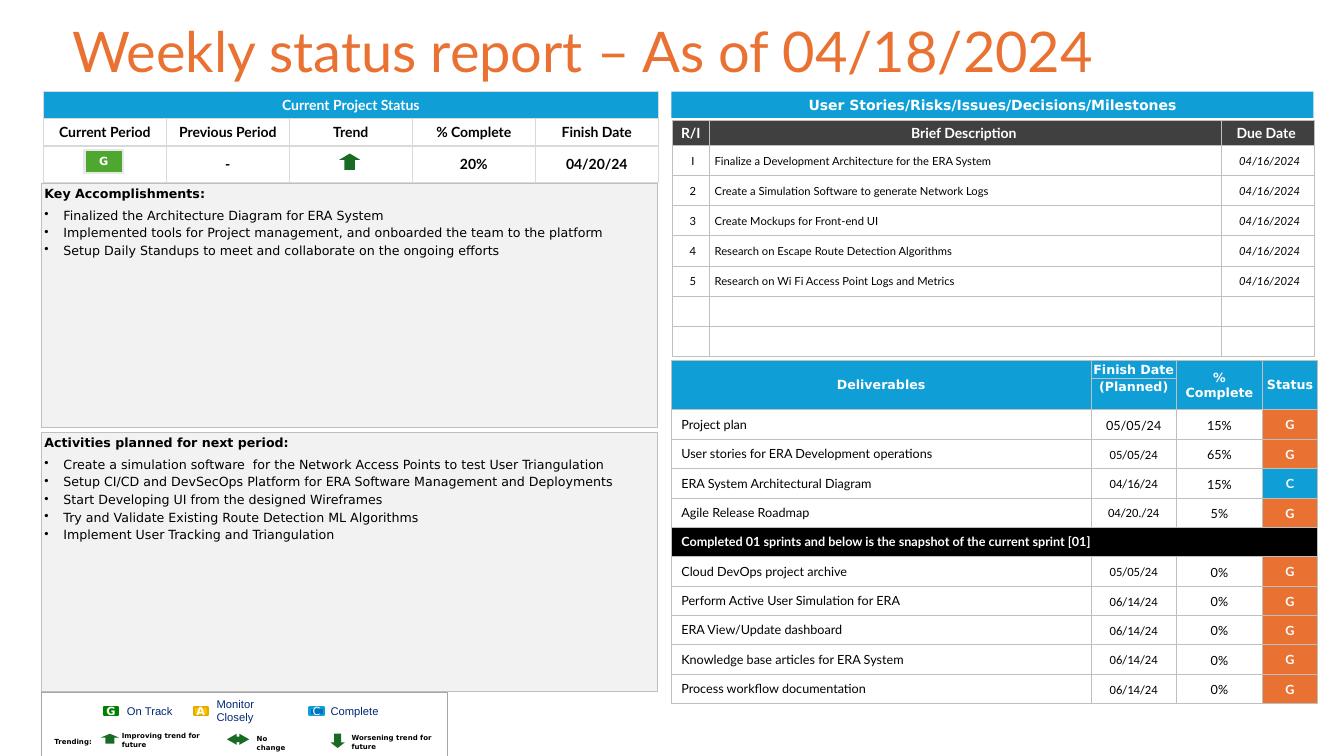
from lxml import etree
from pptx import Presentation
from pptx import util as u
from pptx.dml.color import RGBColor
from pptx.enum import shapes, text
from pptx.oxml import ns

BLUE = RGBColor(0x0F, 0x9E, 0xD5)
ORANGE = RGBColor(0xE9, 0x71, 0x32)
WHITE = RGBColor(0xFF, 0xFF, 0xFF)
BLACK = RGBColor(0, 0, 0)
CHARCOAL = RGBColor(0x40, 0x40, 0x40)
PANEL = RGBColor(0xF2, 0xF2, 0xF2)
BORDER = RGBColor(0xBF, 0xBF, 0xBF)
PALE_BORDER = RGBColor(0xD9, 0xD9, 0xD9)
LEGEND_BORDER = RGBColor(0xA6, 0xA6, 0xA6)
ARROW_GREEN = RGBColor(0x19, 0x6B, 0x24)
BADGE_GREEN = RGBColor(0x4E, 0xA7, 0x2E)
BADGE_BORDER = RGBColor(0xE8, 0xE8, 0xE8)
TRACK_GREEN = RGBColor(0, 0x80, 0)
AMBER = RGBColor(0xFF, 0xC0, 0)
AMBER_BORDER = RGBColor(0xE2, 0xAC, 0)
COMPLETE_BLUE = RGBColor(0, 0x70, 0xC0)
NAVY = RGBColor(0, 0x27, 0x76)

LEFT, CENTER = text.PP_ALIGN.LEFT, text.PP_ALIGN.CENTER
TOP, MIDDLE = text.MSO_ANCHOR.TOP, text.MSO_ANCHOR.MIDDLE
SIDES = ("left", "top", "right", "bottom")
TIGHT = (0.03, 0.03, 0.03, 0)
PADDED = (0.25, 0.13, 0.25, 0.13)


def write(holder, words, size=9, font="Lato", color=BLACK, bold=False, italic=False,
          align=LEFT, anchor=MIDDLE, margins=PADDED, spacing=None, before=None,
          after=None, bullet=False):
    """Add one paragraph to a text frame or a table cell."""
    frame = getattr(holder, "text_frame", holder)
    holder.vertical_anchor = anchor
    for side, margin in zip(SIDES, margins):
        setattr(holder, f"margin_{side}", u.Cm(margin))
    paragraph = frame.paragraphs[0]
    if paragraph.runs:
        paragraph = frame.add_paragraph()
    if not words:
        etree.SubElement(paragraph._p, ns.qn("a:endParaRPr"), sz=str(size * 100))
        return
    if bullet:
        properties = paragraph._p.get_or_add_pPr()
        properties.set("marL", str(u.Cm(0.48)))
        properties.set("indent", str(u.Cm(-0.48)))
        etree.SubElement(properties, ns.qn("a:buChar"), char="•")
    paragraph.alignment = align
    paragraph.line_spacing = spacing
    paragraph.space_before = before
    paragraph.space_after = after
    run = paragraph.add_run()
    run.text = words
    run.font.size, run.font.name = u.Pt(size), font
    run.font.bold, run.font.italic = bold, italic
    run.font.color.rgb = color


def add_grid(left, top, widths, heights, border, border_width):
    """Add a plain table with even borders and no cell fill."""
    frame = slide.shapes.add_table(len(heights), len(widths), u.Cm(left), u.Cm(top),
                                   u.Cm(sum(widths)), u.Cm(sum(heights)))
    table = frame.table
    table.first_row = table.horz_banding = False
    for column, width in zip(table.columns, widths):
        column.width = u.Cm(width)
    for row, height in zip(table.rows, heights):
        row.height = u.Cm(height)
    for cell in table.iter_cells():
        properties = cell._tc.get_or_add_tcPr()
        for edge in ("lnL", "lnR", "lnT", "lnB"):
            line = etree.SubElement(properties, ns.qn(f"a:{edge}"), w=str(u.Pt(border_width)))
            fill = etree.SubElement(line, ns.qn("a:solidFill"))
            etree.SubElement(fill, ns.qn("a:srgbClr"), val=str(border))
        cell.fill.background()
    return table


presentation = Presentation()
presentation.slide_width, presentation.slide_height = u.Cm(33.87), u.Cm(19.05)
slide = presentation.slides.add_slide(presentation.slide_layouts[6])

# Title
title = slide.shapes.add_textbox(u.Cm(1.57), u.Cm(0.48), u.Cm(30.68), u.Cm(2.31))
title.text_frame.word_wrap = True
write(title.text_frame, "Weekly status report – As of 04/18/2024", size=40, color=ORANGE,
      anchor=TOP, spacing=0.9)

# Current project status
status = add_grid(1.09, 2.31, [3.1] * 5, [0.68, 0.68, 0.91], PALE_BORDER, 1)
status_rows = [
    ["Current Project Status", "", "", "", ""],
    ["Current Period", "Previous Period", "Trend", "% Complete", "Finish Date"],
    ["", "-", "", "20%", "04/20/24"],
]
for r, row in enumerate(status_rows):
    for c, words in enumerate(row):
        write(status.cell(r, c), words, size=10, bold=True, align=CENTER,
              color=BLACK if r else WHITE)
status.cell(0, 0).fill.solid()
status.cell(0, 0).fill.fore_color.rgb = BLUE
status.cell(0, 0).merge(status.cell(0, 4))

# Accomplishments and planned activities
panels = [
    (4.62, 6.15, "Key Accomplishments:", [
        "Finalized the Architecture Diagram for ERA System",
        "Implemented tools for Project management, and onboarded the team to the platform",
        "Setup Daily Standups to meet and collaborate on the ongoing efforts"]),
    (10.9, 6.53, "Activities planned for next period:", [
        "Create a simulation software  for the Network Access Points to test User Triangulation",
        "Setup CI/CD and DevSecOps Platform for ERA Software Management and Deployments",
        "Start Developing UI from the designed Wireframes",
        "Try and Validate Existing Route Detection ML Algorithms",
        "Implement User Tracking and Triangulation"]),
]
panel_format = dict(font="DejaVu Sans", anchor=TOP, margins=(0.08, 0.08, 0.05, 0.1))
for top, height, heading, items in panels:
    cell = add_grid(1.04, top, [15.52], [height], BORDER, 0.5).cell(0, 0)
    cell.fill.solid()
    cell.fill.fore_color.rgb = PANEL
    write(cell, heading, bold=True, after=u.Pt(3), **panel_format)
    for item in items:
        write(cell, item, bullet=True, before=u.Pt(2), **panel_format)

# User stories table
stories = add_grid(16.94, 3.02, [0.94, 12.9, 2.34], [0.64] + [0.76] * 7, BORDER, 0.5)
story_names = [
    "Finalize a Development Architecture for the ERA System",
    "Create a Simulation Software to generate Network Logs",
    "Create Mockups for Front-end UI",
    "Research on Escape Route Detection Algorithms",
    "Research on Wi Fi Access Point Logs and Metrics",
]
story_rows = [["R/I", "Brief Description ", "Due Date "]]
story_rows += [[n, name, "04/16/2024"] for n, name in zip("I2345", story_names)]
story_rows += [["", "", ""]] * 2
for r, row in enumerate(story_rows):
    for c, words in enumerate(row):
        cell = stories.cell(r, c)
        cell.fill.solid()
        cell.fill.fore_color.rgb = WHITE if r else CHARCOAL
        if r == 0:
            write(cell, words, size=10, color=WHITE, bold=True, align=CENTER, margins=TIGHT)
        else:
            write(cell, words, size=8, italic=c == 2, align=LEFT if c == 1 else CENTER,
                  margins=(0.13, 0.03, 0.03, 0))

# Deliverables table
deliverables = add_grid(16.92, 9.07, [10.57, 2.16, 2.16, 1.4], [0.46, 0.79] + [0.74] * 10,
                        BORDER, 0.5)
deliverable_rows = [
    ["Deliverables", "Finish Date", "% Complete", "Status"],
    ["", "(Planned)", "", ""],
    ["Project plan", "05/05/24", "15%", "G"],
    ["User stories for ERA Development operations", "05/05/24", "65%", "G"],
    ["ERA System Architectural Diagram", "04/16/24", "15%", "C"],
    ["Agile Release Roadmap", "04/20./24", "5%", "G"],
    ["Completed 01 sprints and below is the snapshot of the current sprint [01]", "", "", ""],
    ["Cloud DevOps project archive", "05/05/24", "0%", "G"],
    ["Perform Active User Simulation for ERA", "06/14/24", "0%", "G"],
    ["ERA View/Update dashboard", "06/14/24", "0%", "G"],
    ["Knowledge base articles for ERA System", "06/14/24", "0%", "G"],
    ["Process workflow documentation", "06/14/24", "0%", "G"],
]
SPRINT_ROW = 6
for r, row in enumerate(deliverable_rows):
    for c, words in enumerate(row):
        cell = deliverables.cell(r, c)
        fill = None
        if r < 2:
            fill = BLUE
            write(cell, words, font="DejaVu Sans", color=WHITE, bold=True, align=CENTER,
                  anchor=TOP if r else MIDDLE, margins=TIGHT)
        elif r == SPRINT_ROW:
            fill = BLACK
            write(cell, words, color=WHITE, bold=True)
        elif c == 0:
            write(cell, words)
        elif c == 3:
            fill = BLUE if words == "C" else ORANGE
            write(cell, words, color=WHITE, bold=True, align=CENTER, margins=TIGHT)
        else:
            write(cell, words, font="Calibri" if c == 1 and r > 2 else "Lato",
                  align=CENTER, margins=TIGHT, spacing=1.07)
        if fill is not None:
            cell.fill.solid()
            cell.fill.fore_color.rgb = fill
for c in (0, 2, 3):
    deliverables.cell(0, c).merge(deliverables.cell(1, c))
deliverables.cell(SPRINT_ROW, 0).merge(deliverables.cell(SPRINT_ROW, 3))

# Banner, status badge, legend frame, colour chips and trend arrows
legend = slide.shapes.add_group_shape()
RECT, UP = shapes.MSO_SHAPE.RECTANGLE, shapes.MSO_SHAPE.UP_ARROW
DOWN, BOTH = shapes.MSO_SHAPE.DOWN_ARROW, shapes.MSO_SHAPE.LEFT_RIGHT_ARROW
marks = [
    (slide, RECT, 16.92, 2.31, 16.18, 0.66, BLUE, None, 0,
     "User Stories/Risks/Issues/Decisions/Milestones", 10),
    (slide, RECT, 2.13, 3.78, 0.97, 0.58, BADGE_GREEN, BADGE_BORDER, 1.5, "G", 8),
    (slide, UP, 8.55, 3.87, 0.53, 0.41, ARROW_GREEN, None, 0.39, "", 8),
    (legend, RECT, 1.04, 17.45, 10.24, 1.63, WHITE, LEGEND_BORDER, 0.75, "", 8),
    (legend, RECT, 2.62, 17.81, 0.36, 0.2, TRACK_GREEN, TRACK_GREEN, 1.5, "G", 8),
    (legend, RECT, 4.88, 17.81, 0.36, 0.2, AMBER, AMBER_BORDER, 1.5, "A", 8),
    (legend, RECT, 7.8, 17.83, 0.36, 0.2, COMPLETE_BLUE, BLUE, 1.5, "C", 8),
    (legend, UP, 2.54, 18.49, 0.46, 0.25, ARROW_GREEN, None, 0.39, "", 8),
    (legend, BOTH, 5.72, 18.49, 0.56, 0.28, ARROW_GREEN, None, 0.88, "", 8),
    (legend, DOWN, 8.33, 18.49, 0.36, 0.36, ARROW_GREEN, None, 0.39, "", 8),
]
for parent, kind, left, top, width, height, fill, line, amount, words, size in marks:
    shape = parent.shapes.add_shape(kind, u.Cm(left), u.Cm(top), u.Cm(width), u.Cm(height))
    shape.shadow.inherit = False
    shape.fill.solid()
    shape.fill.fore_color.rgb = fill
    if line is None:
        shape.line.fill.background()
    else:
        shape.line.color.rgb, shape.line.width = line, u.Pt(amount)
    if kind != RECT:
        shape.adjustments[1] = amount
    if words:
        shape.text_frame.word_wrap = False
        write(shape.text_frame, words, size=size, font="DejaVu Sans", color=WHITE,
              bold=words != "C", align=CENTER, margins=(0, 0, 0, 0))

# Legend labels
NO_MARGIN, TREND_MARGIN = (0, 0, 0, 0), (0, 0.13, 0.25, 0.13)
labels = [
    (3.2, 17.81, 1.35, 0.2, "On Track", NO_MARGIN, MIDDLE),
    (5.46, 17.81, 1.35, 0.2, "Monitor Closely", NO_MARGIN, MIDDLE),
    (8.33, 17.83, 1.35, 0.2, "Complete", NO_MARGIN, MIDDLE),
    (1.37, 18.31, 1.32, 0.76, "Trending:", TREND_MARGIN, MIDDLE),
    (2.82, 18.31, 2.49, 0.71, "Improving trend for future", PADDED, TOP),
    (6.22, 18.39, 1.55, 0.48, "No change", PADDED, TOP),
    (8.61, 18.36, 2.69, 0.71, "Worsening trend for future", PADDED, TOP),
]
for left, top, width, height, words, margins, anchor in labels:
    label = legend.shapes.add_textbox(u.Cm(left), u.Cm(top), u.Cm(width), u.Cm(height))
    is_trend = margins != NO_MARGIN
    label.text_frame.word_wrap = is_trend
    write(label.text_frame, words, size=5 if is_trend else 8, bold=is_trend,
          font="DejaVu Sans" if is_trend else "Arial",
          color=BLACK if is_trend else NAVY, anchor=anchor, margins=margins)

presentation.save("out.pptx")
